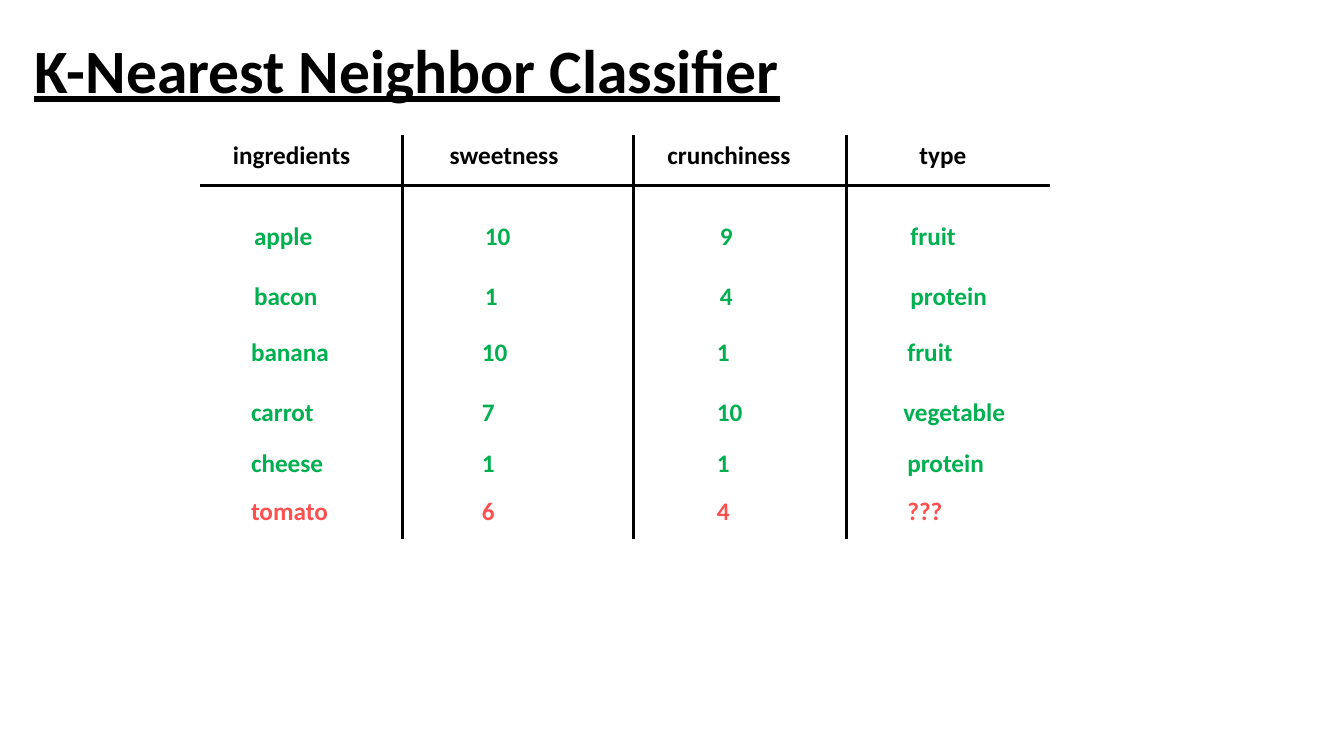
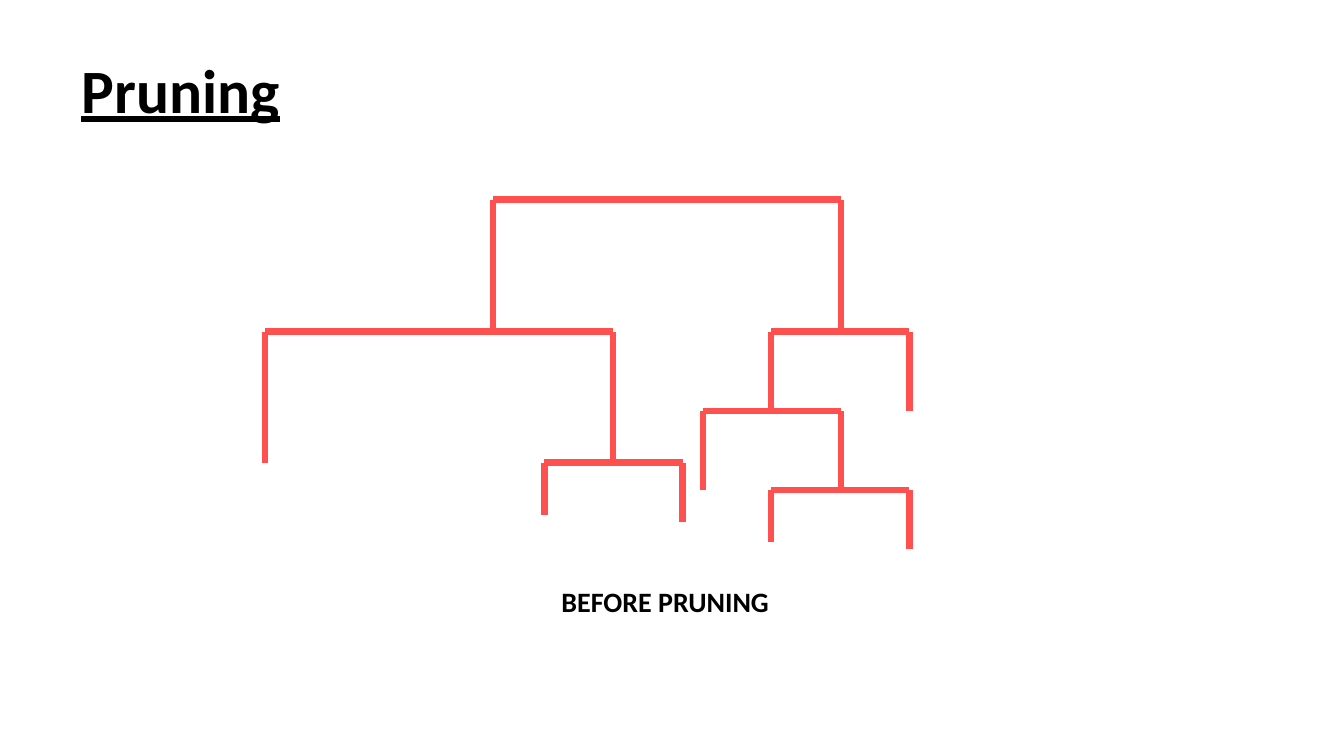
from dataclasses import dataclass

from lxml import etree
from pptx import Presentation
from pptx.dml.color import RGBColor
from pptx.enum.shapes import MSO_CONNECTOR
from pptx.enum.text import MSO_ANCHOR
from pptx.oxml.ns import qn
from pptx.slide import Slide
from pptx.table import _Cell
from pptx.text.text import TextFrame
from pptx.util import Inches, Pt

STRAIGHT = MSO_CONNECTOR.STRAIGHT
TOP, MIDDLE = MSO_ANCHOR.TOP, MSO_ANCHOR.MIDDLE

FONT = "Calibri"
BLACK, GREEN, RED = "000000", "00B050", "FF5050"
RULE_WIDTH, BRANCH_WIDTH = 2.25, 4.5
BLANK_LAYOUT = 6
WIDE, NARROW = 3.45, 1.37


@dataclass(frozen=True)
class Column:
    """A table column; header_inset and body_inset are left cell margins."""
    header: str
    width: float
    header_inset: float
    body_inset: float


@dataclass(frozen=True)
class Row:
    """A table row; shift moves every value sideways, type_shift the last one."""
    values: tuple[str, ...]
    height: float
    color: str = GREEN
    top_inset: float = 0.05
    shift: float = 0
    type_shift: float = 0


@dataclass(frozen=True)
class Fork:
    """A crossbar with a branch hanging from each end."""
    left: float
    top: float
    width: float
    left_drop: float
    right_drop: float


TABLE_LEFT, TABLE_TOP, HEADER_HEIGHT = 1.98, 1.34, 0.5
COLUMNS = (
    Column("ingredients", 2.01, 0.33, 0.51),
    Column("sweetness", 2.29, 0.47, 0.79),
    Column("crunchiness", 2.12, 0.34, 0.83),
    Column("type", 2.01, 0.72, 0.6),
)
ROWS = (
    Row(("apple", "10", "9", "fruit"), 0.9, top_inset=0.36, shift=0.03),
    Row(("bacon", "1", "4", "protein"), 0.56, shift=0.03),
    Row(("banana", "10", "1", "fruit"), 0.59),
    Row(("carrot", "7", "10", "vegetable"), 0.51, type_shift=-0.04),
    Row(("cheese", "1", "1", "protein"), 0.48),
    Row(("tomato", "6", "4", "???"), 0.47, color=RED),
)
FORKS = (
    Fork(4.89, 1.98, WIDE, 1.3, 1.3),
    Fork(2.63, 3.29, WIDE, 1.3, 1.3),
    Fork(5.4, 4.59, NARROW, 0.52, 0.59),
    Fork(7.65, 3.29, NARROW, 0.79, 0.79),
    Fork(6.97, 4.08, NARROW, 0.78, 0.78),
    Fork(7.65, 4.86, NARROW, 0.52, 0.59),
)


def rgb(color: str) -> RGBColor:
    return RGBColor.from_string(color)


def write_text(tf: TextFrame, text: str, *, size: float = 18, color: str = BLACK,
               underline: bool = False, spacing: float = 1.0) -> None:
    p = tf.paragraphs[0]
    p.line_spacing = spacing
    r = p.add_run()
    r.text = text
    r.font.name = FONT
    r.font.size = Pt(size)
    r.font.bold = True
    r.font.underline = underline
    r.font.color.rgb = rgb(color)


def add_text(slide: Slide, text: str, left: float, top: float, width: float,
             height: float, *, anchor: MSO_ANCHOR = TOP, **text_format) -> None:
    sp = slide.shapes.add_textbox(Inches(left), Inches(top), Inches(width), Inches(height))
    tf = sp.text_frame
    tf.word_wrap = True
    tf.vertical_anchor = anchor
    write_text(tf, text, **text_format)


def add_titled_slide(prs: Presentation, title: str, left: float, top: float) -> Slide:
    slide = prs.slides.add_slide(prs.slide_layouts[BLANK_LAYOUT])
    add_text(slide, title, left, top, 11.5, 1.45, anchor=MIDDLE,
             size=44, underline=True, spacing=0.9)
    return slide


def add_line(slide: Slide, x1: float, y1: float, x2: float, y2: float, *,
             color: str, width: float) -> None:
    line = slide.shapes.add_connector(STRAIGHT, Inches(x1), Inches(y1), Inches(x2), Inches(y2))
    line.line.color.rgb = rgb(color)
    line.line.width = Pt(width)
    etree.SubElement(line._element.spPr, qn("a:effectLst"))


def clear_cell(cell: _Cell) -> None:
    """Remove the borders and the fill of the default table style."""
    tc_pr = cell._tc.get_or_add_tcPr()
    for side in "LRTB":
        ln = etree.SubElement(tc_pr, qn(f"a:ln{side}"))
        etree.SubElement(ln, qn("a:noFill"))
    cell.fill.background()


def add_ingredient_table(slide: Slide) -> None:
    header = Row(tuple(c.header for c in COLUMNS), HEADER_HEIGHT, color=BLACK)
    rows = (header, *ROWS)
    width = sum(c.width for c in COLUMNS)
    height = sum(row.height for row in rows)
    frame = slide.shapes.add_table(
        len(rows), len(COLUMNS), Inches(TABLE_LEFT), Inches(TABLE_TOP),
        Inches(width), Inches(height))
    table = frame.table
    table.first_row = table.horz_banding = False
    for j, column in enumerate(COLUMNS):
        table.columns[j].width = Inches(column.width)
    last = len(COLUMNS) - 1
    for i, row in enumerate(rows):
        table.rows[i].height = Inches(row.height)
        for j, (column, value) in enumerate(zip(COLUMNS, row.values)):
            cell = table.cell(i, j)
            inset = column.header_inset if i == 0 else column.body_inset
            shift = row.shift + (row.type_shift if j == last else 0)
            cell.margin_left = Inches(inset + shift)
            cell.margin_top = Inches(row.top_inset)
            cell.margin_right = cell.margin_bottom = 0
            cell.vertical_anchor = TOP
            clear_cell(cell)
            write_text(cell.text_frame, value, color=row.color)

    rule = {"color": BLACK, "width": RULE_WIDTH}
    y = TABLE_TOP + HEADER_HEIGHT
    add_line(slide, TABLE_LEFT, y, TABLE_LEFT + width, y, **rule)
    x = TABLE_LEFT
    for column in COLUMNS[:-1]:
        x += column.width
        add_line(slide, x, TABLE_TOP, x, TABLE_TOP + height, **rule)


def add_fork(slide: Slide, fork: Fork) -> None:
    branch = {"color": RED, "width": BRANCH_WIDTH}
    right = fork.left + fork.width
    add_line(slide, fork.left, fork.top, right, fork.top, **branch)
    for x, drop in ((fork.left, fork.left_drop), (right, fork.right_drop)):
        add_line(slide, x, fork.top, x, fork.top + drop, **branch)


def main() -> None:
    prs = Presentation()
    prs.slide_width, prs.slide_height = Inches(13.33), Inches(7.5)

    classifier = add_titled_slide(prs, "K-Nearest Neighbor Classifier", 0.24, 0)
    add_ingredient_table(classifier)

    pruning = add_titled_slide(prs, "Pruning", 0.71, 0.2)
    for fork in FORKS:
        add_fork(pruning, fork)
    add_text(pruning, "BEFORE PRUNING", 5.47, 5.75, 2.28, 0.44, size=20)

    prs.save("out.pptx")


if __name__ == "__main__":
    main()
